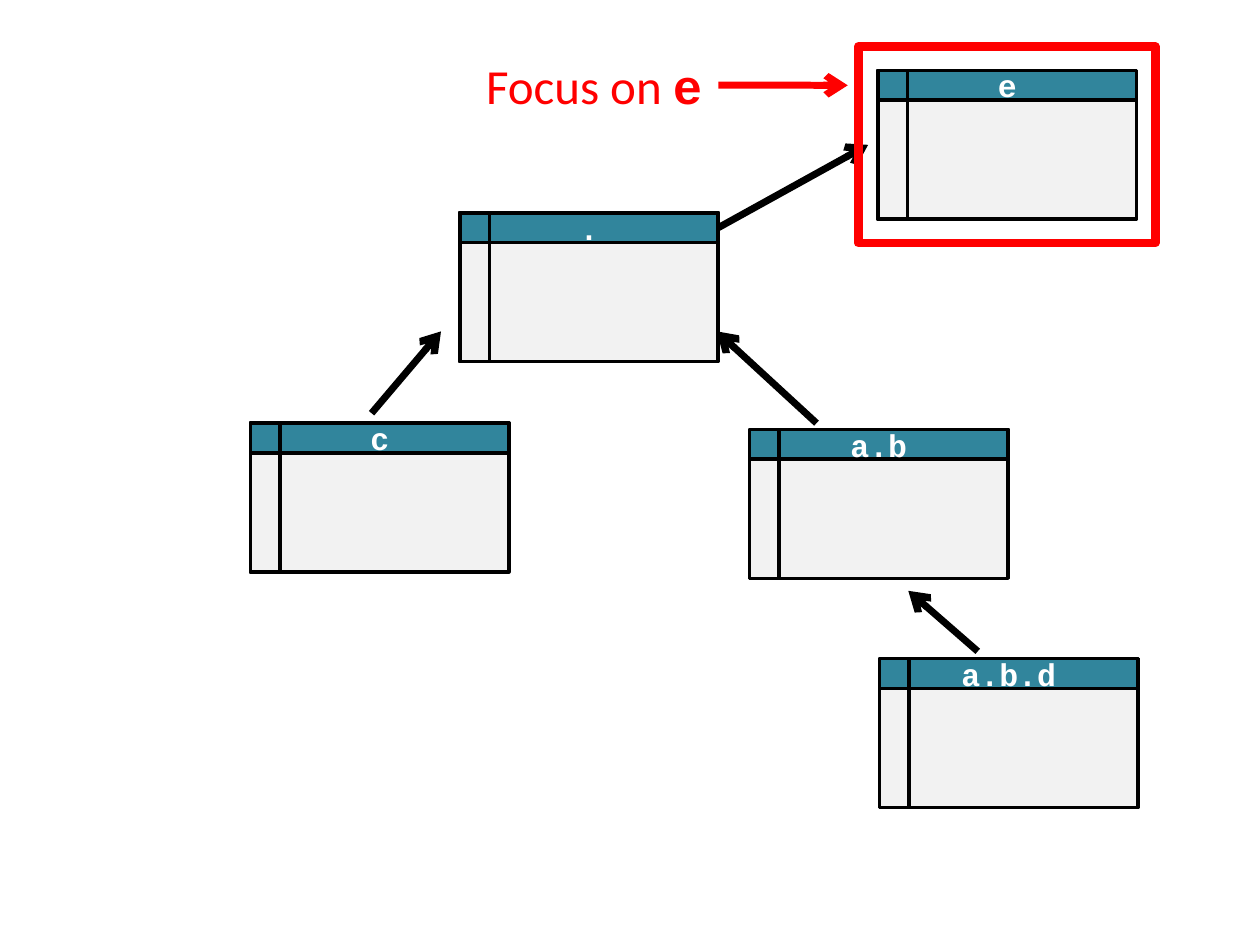
from lxml.etree import SubElement
from pptx import Presentation
from pptx.dml.color import RGBColor
from pptx.enum.shapes import MSO_CONNECTOR, MSO_SHAPE
from pptx.enum.text import MSO_ANCHOR, MSO_AUTO_SIZE, PP_ALIGN
from pptx.oxml.ns import qn
from pptx.util import Cm, Pt

BLACK, RED, WHITE = "000000", "FF0000", "FFFFFF"
TEAL, PALE = "31859C", "F2F2F2"
TABLE_WIDTH, TABLE_HEIGHT, BAND = 5.21, 3, 0.6
RIGHT_SIDE = 3


def color(hex_string):
    return RGBColor.from_string(hex_string)


def style_font(run, size, font_name, hex_string, bold=False):
    run.font.size = Pt(size)
    run.font.name = font_name
    run.font.bold = bold
    run.font.color.rgb = color(hex_string)


def add_box(shapes, left, top, width, height, line, weight, fill=None):
    box = shapes.add_shape(MSO_SHAPE.RECTANGLE, Cm(left), Cm(top), Cm(width), Cm(height))
    box.shadow.inherit = False
    if fill:
        box.fill.solid()
        box.fill.fore_color.rgb = color(fill)
    else:
        box.fill.background()
    box.line.color.rgb = color(line)
    box.line.width = Pt(weight)
    return box


def add_frame_table(slide, name, left, top):
    parts = slide.shapes.add_group_shape().shapes
    add_box(parts, left, top, TABLE_WIDTH, TABLE_HEIGHT, BLACK, 2, PALE)
    header = add_box(parts, left, top, TABLE_WIDTH, BAND, BLACK, 2, TEAL)
    add_box(parts, left, top, BAND, TABLE_HEIGHT, BLACK, 2)
    header.text_frame.text = name
    header.text_frame.vertical_anchor = MSO_ANCHOR.MIDDLE
    title = header.text_frame.paragraphs[0]
    title.alignment = PP_ALIGN.CENTER
    style_font(title.runs[0], 18, "Courier New", WHITE, True)
    return header


def add_arrow(slide, start, end, hex_string=BLACK, source=None):
    arrow = slide.shapes.add_connector(MSO_CONNECTOR.STRAIGHT, *map(Cm, start + end))
    if source is not None:
        arrow.begin_connect(source, RIGHT_SIDE)
    arrow.line.color.rgb = color(hex_string)
    arrow.line.width = Pt(4)
    SubElement(arrow.line._get_or_add_ln(), qn("a:tailEnd"), type="arrow")
    SubElement(arrow._element.spPr, qn("a:effectLst"))


def add_focus_label(slide, left, top, width, height):
    label = slide.shapes.add_textbox(Cm(left), Cm(top), Cm(width), Cm(height))
    label.text_frame.word_wrap = False
    label.text_frame.auto_size = MSO_AUTO_SIZE.SHAPE_TO_FIT_TEXT
    sentence = label.text_frame.paragraphs[0]
    sentence.text = "Focus on "
    style_font(sentence.runs[0], 28, "Calibri", RED)
    focused_name = sentence.add_run()
    focused_name.text = "e"
    style_font(focused_name, 28, "Courier New", RED, True)
    return label


def add_focus(slide, left, top, width, height):
    add_box(slide.shapes, left, top, width, height, RED, 5)
    label = add_focus_label(slide, left - 7.75, top + 0.05, 4.93, 1.45)
    arrow_y = top + 0.78
    add_arrow(slide, (left - 2.82, arrow_y), (left - 0.21, arrow_y), RED, label)


def build_environment_tree(slide):
    add_frame_table(slide, "a.b", 15.11, 8.66)
    root_header = add_frame_table(slide, ".", 9.27, 4.29)
    add_frame_table(slide, "a.b.d", 17.73, 13.28)
    add_frame_table(slide, "c", 5.05, 8.53)
    add_frame_table(slide, "e", 17.7, 1.42)
    add_arrow(slide, (16.46, 8.53), (14.45, 6.68))
    add_arrow(slide, (14.48, 4.59), (17.5, 2.92), source=root_header)
    add_arrow(slide, (19.71, 13.13), (18.31, 11.91))
    add_arrow(slide, (7.49, 8.33), (8.89, 6.68))
    add_focus(slide, 17.3, 0.94, 5.99, 3.96)


def main():
    presentation = Presentation()
    presentation.slide_width = Cm(25.4)
    presentation.slide_height = Cm(19.05)
    slide = presentation.slides.add_slide(presentation.slide_layouts[6])
    build_environment_tree(slide)
    presentation.save("out.pptx")


if __name__ == "__main__":
    main()
